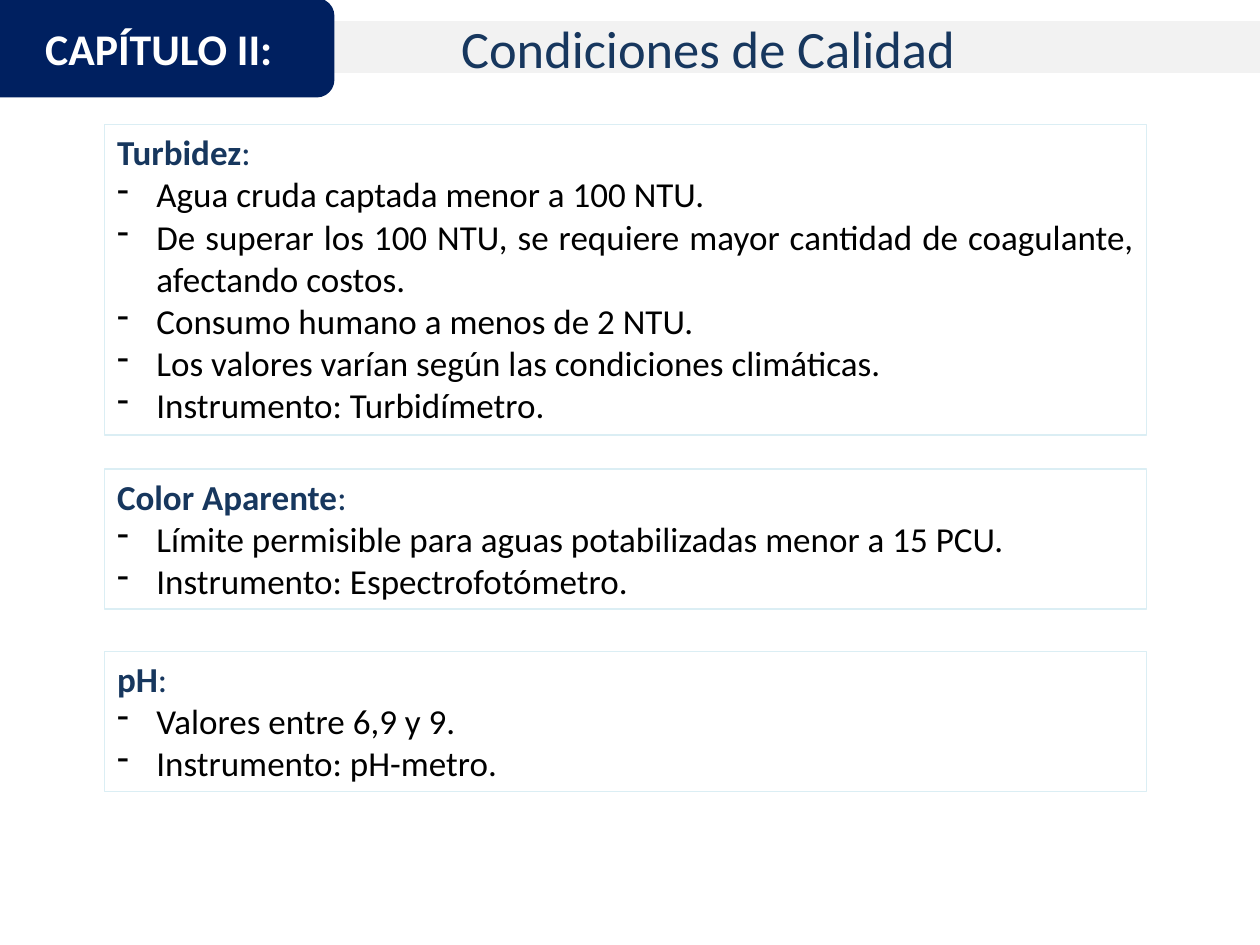
"""Build the water quality conditions slide."""
from lxml import etree
from pptx import Presentation
from pptx.dml.color import RGBColor
from pptx.enum import shapes, text
from pptx.oxml import ns
from pptx.util import Pt

CHAPTER = "CAPÍTULO II:"
TITLE = "Condiciones de Calidad"
TOPICS = [
    (71.3, 7, "Turbidez", [
        "Agua cruda captada menor a 100 NTU.",
        "De superar los 100 NTU, se requiere mayor cantidad de coagulante, "
        "afectando costos.",
        "Consumo humano a menos de 2 NTU.",
        "Los valores varían según las condiciones climáticas.",
        "Instrumento: Turbidímetro.",
    ]),
    (268, 3, "Color Aparente", [
        "Límite permisible para aguas potabilizadas menor a 15 PCU.",
        "Instrumento: Espectrofotómetro.",
    ]),
    (372.2, 3, "pH", [
        "Valores entre 6,9 y 9.",
        "Instrumento: pH-metro.",
    ]),
]
NAVY, INK, GRAY, PALE = "002060", "17375E", "F2F2F2", "DBEEF4"
LEFT, WIDTH = 59.8, 595.4
LINE, PAD, INDENT = 24.3, 7.2, 22.5


def color(code):
    return RGBColor.from_string(code)


def add_box(slide, kind, area, fill, edge, weight):
    box = slide.shapes.add_shape(kind, *map(Pt, area))
    box.shadow.inherit = False
    if fill:
        box.fill.solid()
        box.fill.fore_color.rgb = color(fill)
    else:
        box.fill.background()
    box.line.color.rgb = color(edge)
    box.line.width = Pt(weight)
    box.text_frame.word_wrap = True
    return box


def style(para, size, code, align, bold=None):
    para.alignment = align
    font = para.font
    font.name, font.size, font.bold = "Calibri", Pt(size), bold
    font.color.rgb = color(code)


def add_dash(para):
    props = para._p.get_or_add_pPr()
    props.set("marL", str(Pt(INDENT)))
    props.set("indent", str(-Pt(INDENT)))
    etree.SubElement(props, ns.qn("a:buFontTx"))
    etree.SubElement(props, ns.qn("a:buChar")).set("char", "-")


def add_topic(slide, top, lines, name, items):
    area = (LEFT, top, WIDTH, lines * LINE + PAD)
    box = add_box(slide, shapes.MSO_SHAPE.RECTANGLE, area, None, PALE, 0.75)
    frame = box.text_frame
    frame.vertical_anchor = text.MSO_ANCHOR.TOP
    frame.auto_size = text.MSO_AUTO_SIZE.SHAPE_TO_FIT_TEXT
    head = frame.paragraphs[0]
    style(head, 20, INK, text.PP_ALIGN.JUSTIFY)
    for part, bold in ((name, True), (":", False)):
        run = head.add_run()
        run.text, run.font.bold = part, bold
    for item in items:
        para = frame.add_paragraph()
        para.text = item
        add_dash(para)
        style(para, 20, "000000", text.PP_ALIGN.JUSTIFY)


def main():
    deck = Presentation()
    deck.slide_width, deck.slide_height = Pt(720), Pt(540)
    slide = deck.slides.add_slide(deck.slide_layouts[6])

    band = add_box(slide, shapes.MSO_SHAPE.RECTANGLE,
                   (184.3, 13, 535.7, 28), GRAY, GRAY, 2)
    band.text_frame.margin_left = Pt(79.2)
    band.text_frame.text = TITLE
    style(band.text_frame.paragraphs[0], 30, INK, text.PP_ALIGN.LEFT)

    tab = add_box(slide, shapes.MSO_SHAPE.ROUNDED_RECTANGLE,
                  (-8.6, 0, 198.7, 54.7), NAVY, NAVY, 2)
    tab.text_frame.text = CHAPTER
    style(tab.text_frame.paragraphs[0], 25, "FFFFFF",
          text.PP_ALIGN.CENTER, True)

    for topic in TOPICS:
        add_topic(slide, *topic)
    deck.save("out.pptx")


if __name__ == "__main__":
    main()
